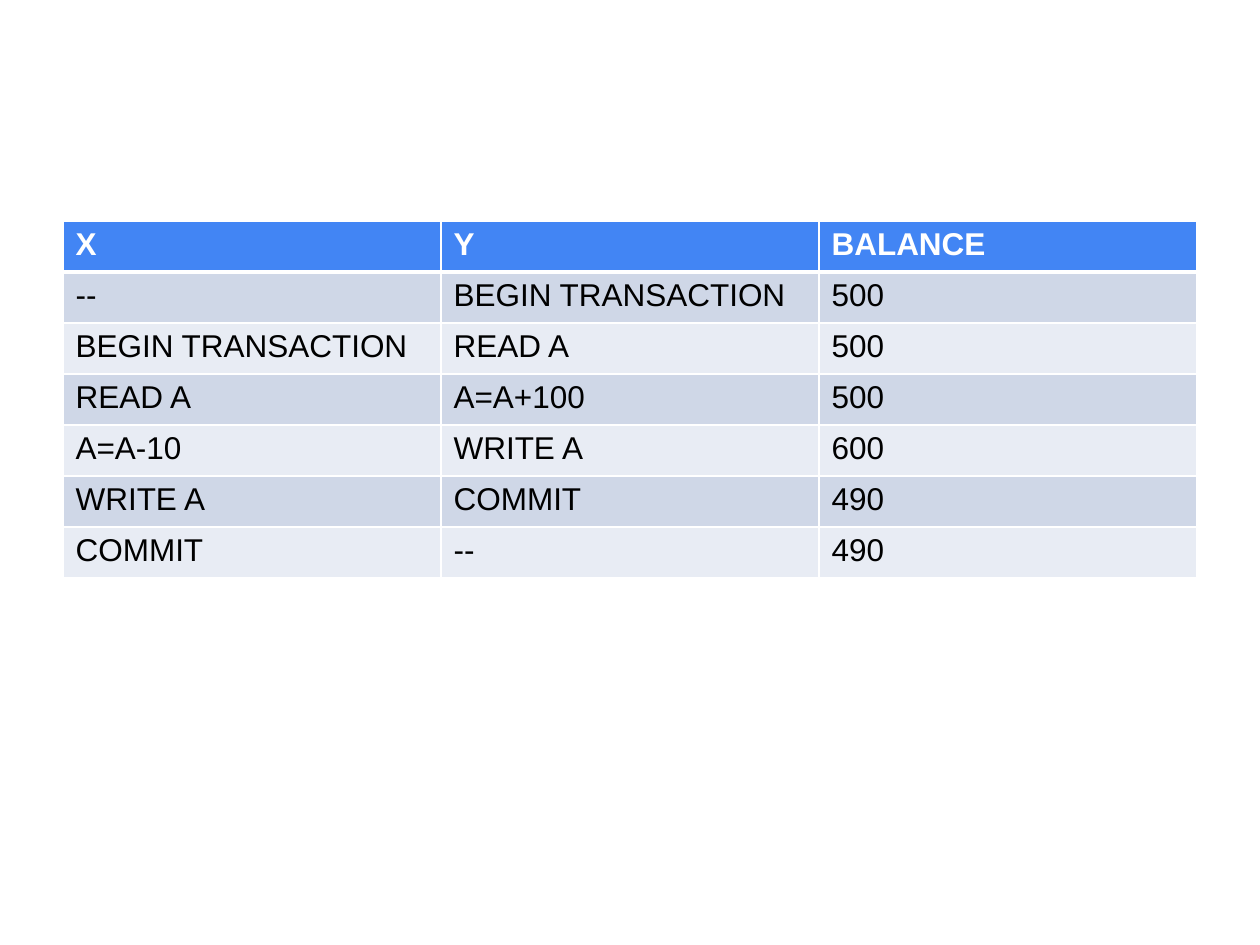
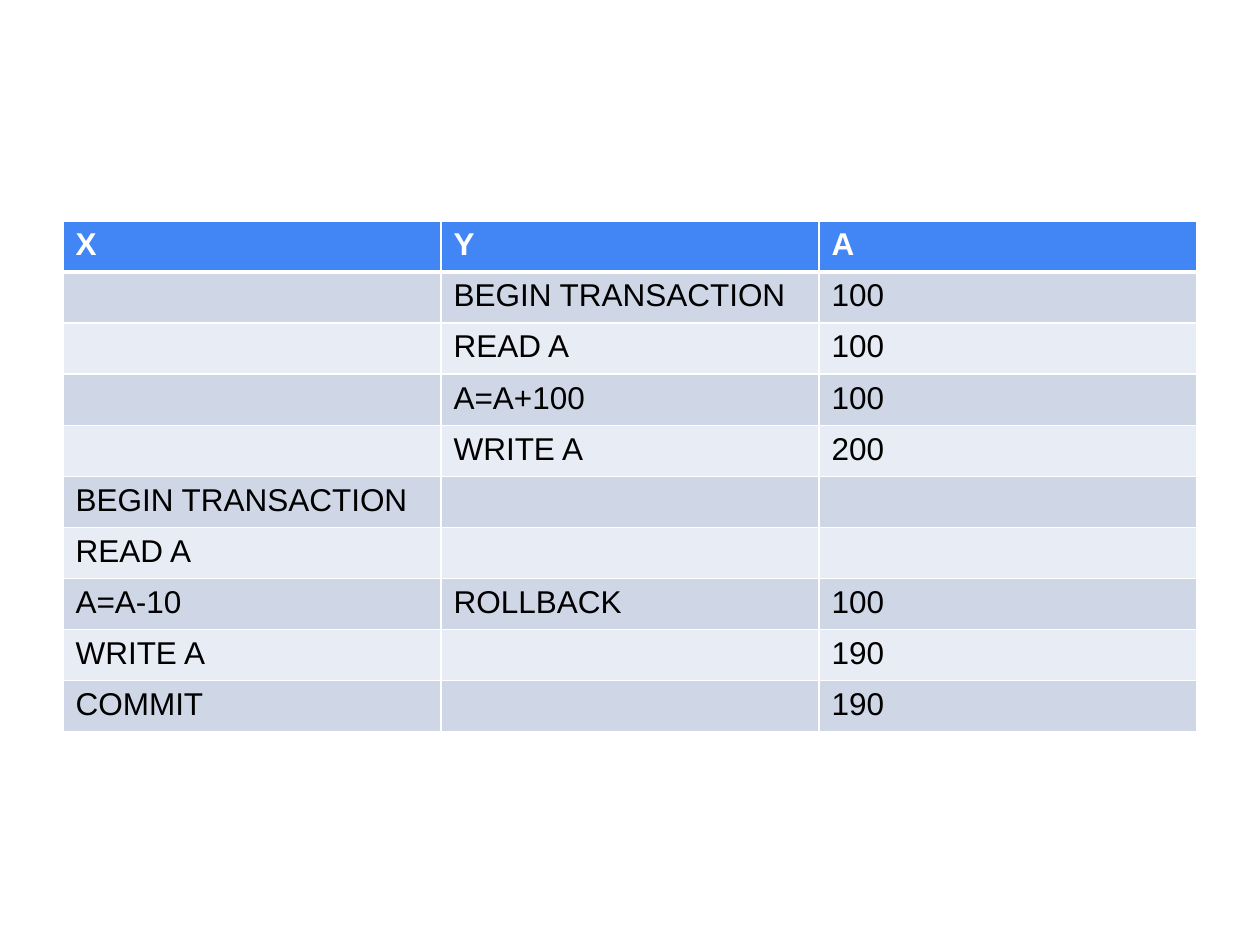
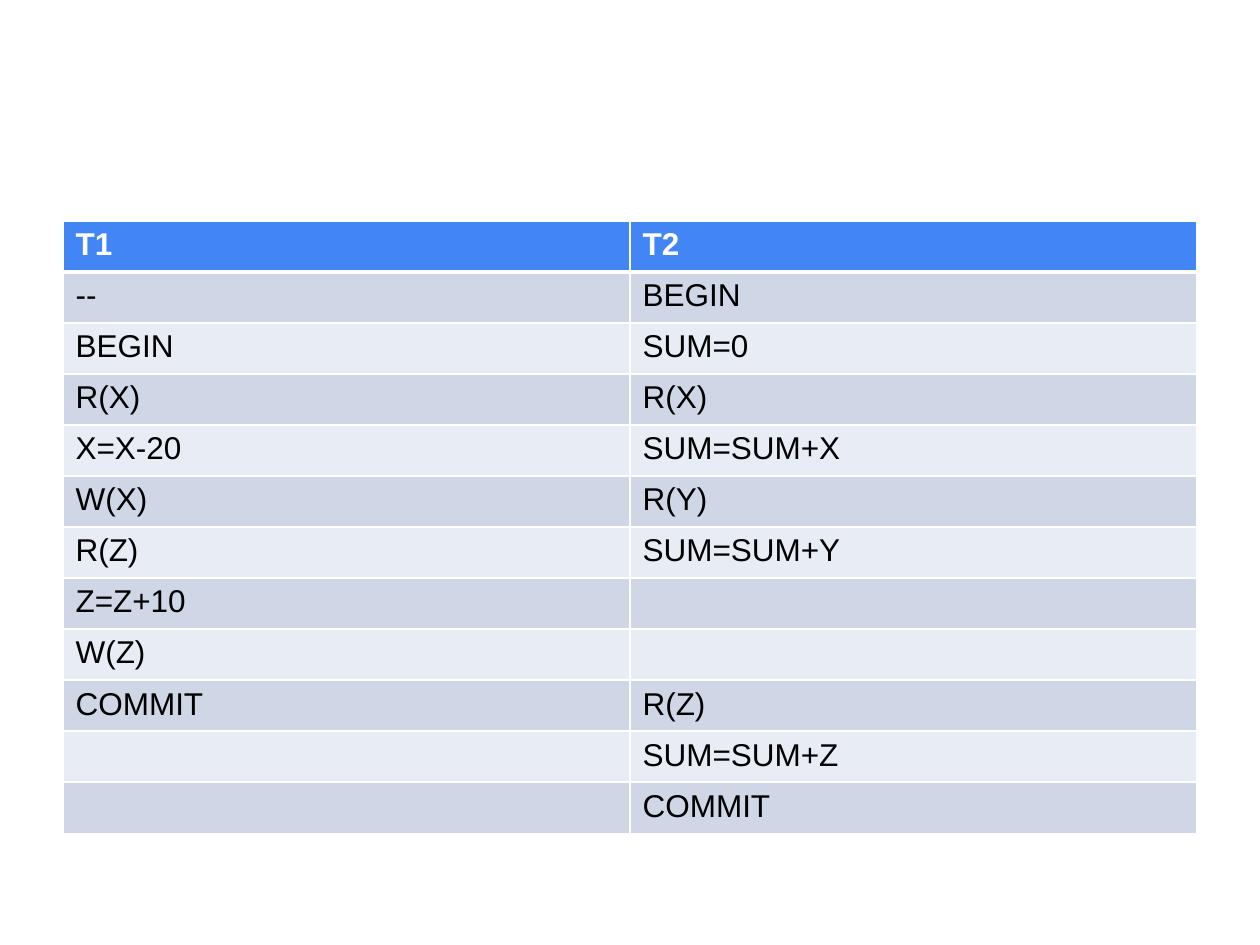
from lxml.etree import SubElement
from pptx import Presentation
from pptx.dml.color import RGBColor
from pptx.oxml.ns import qn
from pptx.util import Emu, Pt

PX = 914400 / 126
COLORS = {
    "header": "4285F4",
    "header_text": "FFFFFF",
    "odd_row": "CFD7E7",
    "even_row": "E8ECF4",
    "text": "000000",
    "border": "FFFFFF",
}

BALANCE_ROWS = [
    ("X", "Y", "BALANCE"),
    ("--", "BEGIN TRANSACTION", "500"),
    ("BEGIN TRANSACTION", "READ A", "500"),
    ("READ A", "A=A+100", "500"),
    ("A=A-10", "WRITE A", "600"),
    ("WRITE A", "COMMIT", "490"),
    ("COMMIT", "--", "490"),
]
ROLLBACK_ROWS = [
    ("X", "Y", "A"),
    ("", "BEGIN TRANSACTION", "100"),
    ("", "READ A", "100"),
    ("", "A=A+100", "100"),
    ("", "WRITE A", "200"),
    ("BEGIN TRANSACTION", "", ""),
    ("READ A", "", ""),
    ("A=A-10", "ROLLBACK", "100"),
    ("WRITE A", "", "190"),
    ("COMMIT", "", "190"),
]
SUM_ROWS = [
    ("T1", "T2"),
    ("--", "BEGIN"),
    ("BEGIN", "SUM=0"),
    ("R(X)", "R(X)"),
    ("X=X-20", "SUM=SUM+X"),
    ("W(X)", "R(Y)"),
    ("R(Z)", "SUM=SUM+Y"),
    ("Z=Z+10", ""),
    ("W(Z)", ""),
    ("COMMIT", "R(Z)"),
    ("", "SUM=SUM+Z"),
    ("", "COMMIT"),
]


def px(n):
    return Emu(round(n * PX))


def rgb(name):
    return RGBColor.from_string(COLORS[name])


class Deck:
    """Holds the shared table style and the current slide."""

    font, size = "Arial", Pt(18)
    left, top, width, row_height = 63, 221, 1134, 51

    def __init__(self):
        self.prs = Presentation()
        self.prs.slide_width, self.prs.slide_height = px(1260), px(945)

    def add_slide(self):
        self.s = self.prs.slides.add_slide(self.prs.slide_layouts[6])

    def add_table(self, rows):
        n_rows, n_cols = len(rows), len(rows[0])
        frame = self.s.shapes.add_table(
            n_rows, n_cols, px(self.left), px(self.top),
            px(self.width), px(self.row_height * n_rows))
        table = frame.table
        for col in table.columns:
            col.width = px(self.width // n_cols)
        for i, row in enumerate(rows):
            table.rows[i].height = px(self.row_height)
            for j, text in enumerate(row):
                self.fill_cell(table.cell(i, j), text, i)

    def fill_cell(self, cell, text, row):
        is_header = row == 0
        self.add_borders(cell, top=3 if row == 1 else 1, bottom=3 if is_header else 1)
        band = "odd_row" if row % 2 else "even_row"
        cell.fill.solid()
        cell.fill.fore_color.rgb = rgb("header" if is_header else band)
        if text:
            r = cell.text_frame.paragraphs[0].add_run()
            r.text = text
            r.font.name, r.font.size, r.font.bold = self.font, self.size, is_header
            r.font.color.rgb = rgb("header_text" if is_header else "text")

    def add_borders(self, cell, top, bottom):
        """Add the four cell lines, widths in points; call before setting the fill."""
        tc_pr = cell._tc.get_or_add_tcPr()
        for side, width in (("L", 1), ("R", 1), ("T", top), ("B", bottom)):
            ln = SubElement(tc_pr, qn(f"a:ln{side}"), w=str(Pt(width)))
            fill = SubElement(ln, qn("a:solidFill"))
            SubElement(fill, qn("a:srgbClr"), val=COLORS["border"])


def main():
    deck = Deck()
    for rows in (BALANCE_ROWS, ROLLBACK_ROWS, SUM_ROWS):
        deck.add_slide()
        deck.add_table(rows)
    deck.prs.save("out.pptx")


if __name__ == "__main__":
    main()
